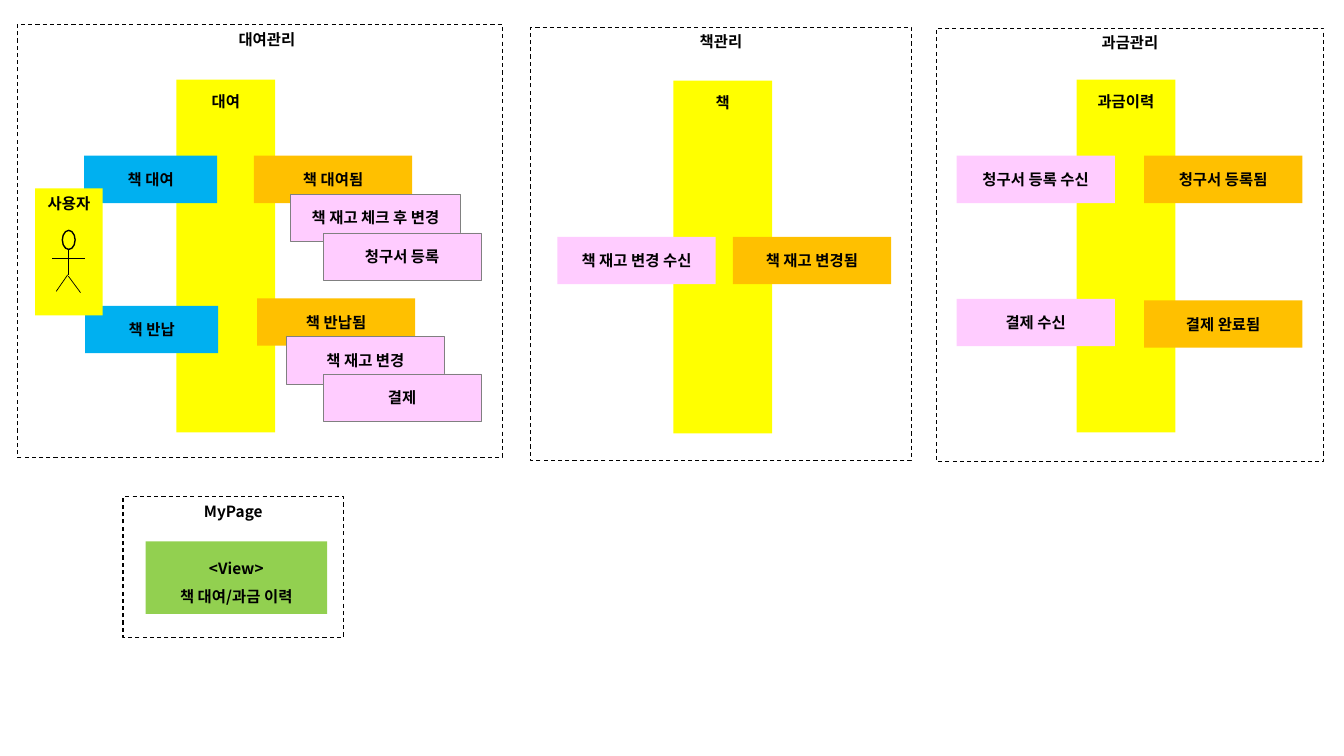
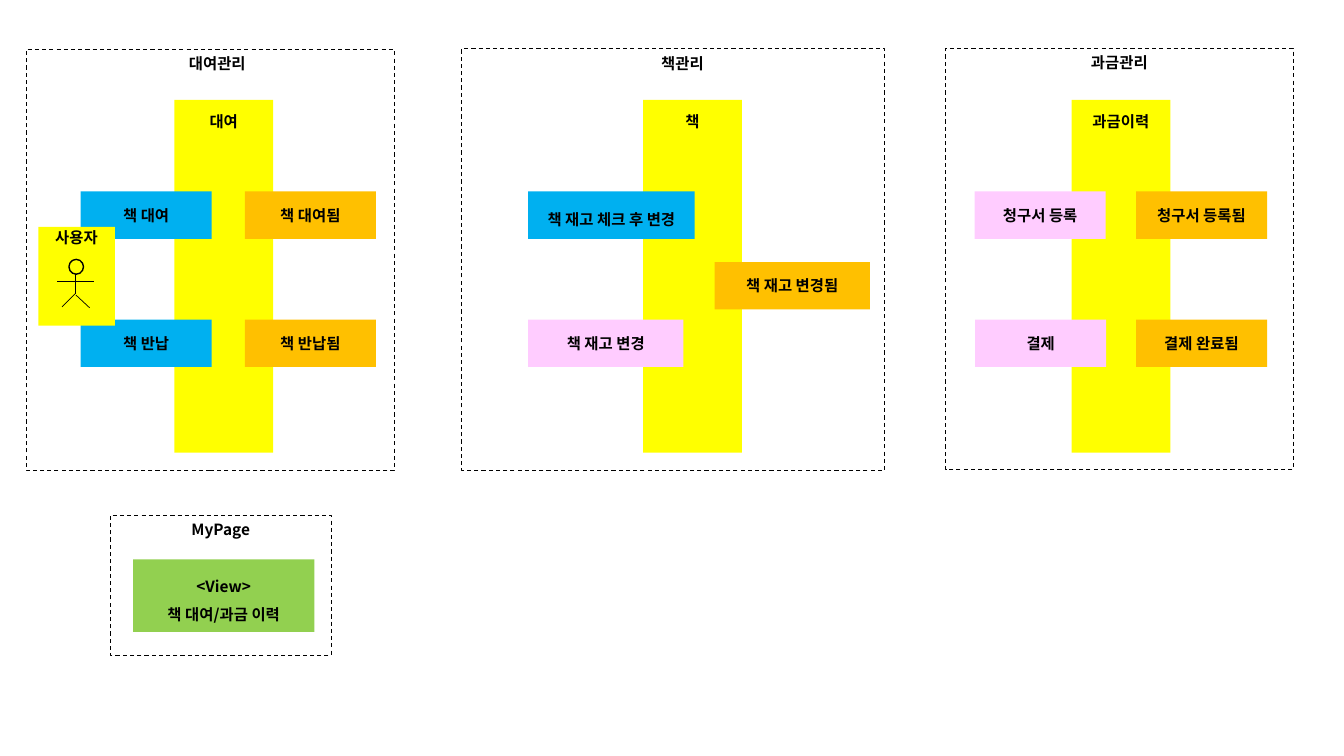
import lxml.etree
import pptx
import pptx.dml.color
import pptx.enum.dml
import pptx.enum.shapes
import pptx.enum.text
import pptx.oxml.ns
import pptx.util

RGB = pptx.dml.color.RGBColor
BLACK = RGB(0x00, 0x00, 0x00)
GRAY = RGB(0x80, 0x80, 0x80)
YELLOW = RGB(0xFF, 0xFF, 0x00)
BLUE = RGB(0x00, 0xB0, 0xF0)
AMBER = RGB(0xFF, 0xC0, 0x00)
PINK = RGB(0xFF, 0xCC, 0xFF)
GREEN = RGB(0x92, 0xD0, 0x50)

FONT = "Noto Sans CJK KR"
CELL = 0.1  # inches per grid column and row
SHAPE = pptx.enum.shapes.MSO_SHAPE
ANCHOR = pptx.enum.text.MSO_ANCHOR


def grid(num):
    """Turn grid columns or rows into a length."""
    return pptx.util.Inches(num * CELL)


class Board:
    """Style and current slide of an event storming board."""

    def __init__(self):
        """Open a deck of wide slides."""
        self.deck = pptx.Presentation()
        self.deck.slide_width = grid(133.33)
        self.deck.slide_height = grid(75)

    def start(self):
        """Add a blank slide and draw on it."""
        self.slide = self.deck.slides.add_slide(self.deck.slide_layouts[6])
        self.shapes = self.slide.shapes

    def shape(self, kind, box, fill=None, line=None, width=0.75):
        """Draw a preset shape at box (left, top, width, height)."""
        item = self.shapes.add_shape(kind, *map(grid, box))
        item.shadow.inherit = False
        if fill is None:
            item.fill.background()
        else:
            item.fill.solid()
            item.fill.fore_color.rgb = fill
        if line is None:
            item.line.fill.background()
        else:
            item.line.color.rgb = line
            item.line.width = pptx.util.Pt(width)
        return item

    def label(self, item, lines, top=None, left=1, space=None):
        """Set centred lines: in the middle, or from the inset top."""
        frame = item.text_frame
        frame.word_wrap = True
        frame.margin_left = grid(left)
        frame.margin_right = grid(1)
        frame.margin_bottom = grid(0.5)
        frame.margin_top = grid(0.5 if top is None else top)
        frame.vertical_anchor = ANCHOR.MIDDLE if top is None else ANCHOR.TOP
        for num, text in enumerate(lines):
            para = frame.add_paragraph() if num else frame.paragraphs[0]
            para.alignment = pptx.enum.text.PP_ALIGN.CENTER
            if space:
                para.line_spacing = space
            self.text(para, text)

    def text(self, para, words):
        """Add one bold black run."""
        run = para.add_run()
        run.text = words
        font = run.font
        font.size = pptx.util.Pt(11)
        font.bold = True
        font.color.rgb = BLACK
        font.name = FONT
        east = lxml.etree.SubElement(run._r.get_or_add_rPr(), pptx.oxml.ns.qn("a:ea"))
        east.set("typeface", FONT)

    def zone(self, box, text, left=1):
        """Draw a dashed context with its name on top."""
        item = self.shape(SHAPE.RECTANGLE, box, line=BLACK)
        item.line.dash_style = pptx.enum.dml.MSO_LINE.DASH
        self.label(item, [text], top=0.5, left=left)

    def lane(self, x, y, text):
        """Draw the tall bar of an aggregate."""
        item = self.shape(SHAPE.RECTANGLE, (x, y, 9.8, 35), YELLOW)
        self.label(item, [text], top=1.2)

    def note(self, fill, x, y, wide, text, line=None, space=None):
        """Draw a command, event or policy note."""
        box = (x, y, wide, 4.7)
        item = self.shape(SHAPE.RECTANGLE, box, fill, line, 0.25)
        self.label(item, [text], space=space)

    def view(self, x, y):
        """Draw the page context with its view."""
        self.zone((x, y, 21.9, 13.9), "MyPage")
        item = self.shape(SHAPE.RECTANGLE, (x + 2.25, y + 4.4, 18, 7.2), GREEN)
        self.label(item, ["<View>", "책 대여/과금 이력"], space=1.5)

    def line(self, x1, y1, x2, y2):
        """Draw a thin black line."""
        kind = pptx.enum.shapes.MSO_CONNECTOR.STRAIGHT
        item = self.shapes.add_connector(kind, *map(grid, (x1, y1, x2, y2)))
        item.line.color.rgb = BLACK
        item.line.width = pptx.util.Pt(0.5)
        prop = item._element.spPr
        lxml.etree.SubElement(prop, pptx.oxml.ns.qn("a:effectLst"))

    def user(self, x, y, wide, high, top):
        """Draw the user card; the figure is set in shares of the card."""
        self.shapes = self.slide.shapes.add_group_shape().shapes
        card = self.shape(SHAPE.RECTANGLE, (x, y, wide, high), YELLOW)
        self.label(card, ["사용자"], top=top)
        head = (x + 0.4 * wide, y + 0.33 * high, 0.19 * wide, 0.15 * high)
        self.shape(SHAPE.OVAL, head, YELLOW, BLACK, 1)
        arms = (0.25, 0.55, 0.73, 0.55)
        trunk = (0.49, 0.48, 0.49, 0.68)
        legs = (0.48, 0.68, 0.31, 0.81), (0.49, 0.69, 0.67, 0.82)
        for x1, y1, x2, y2 in (arms, trunk, *legs):
            self.line(x + x1 * wide, y + y1 * high, x + x2 * wide, y + y2 * high)
        self.shapes = self.slide.shapes


def first(board):
    """Draw the board with policies beside their events."""
    board.start()
    board.lane(17.5, 7.9, "대여")
    board.lane(66.8, 8, "책")
    board.lane(106.8, 7.9, "과금이력")
    board.zone((1.7, 2.45, 48.15, 42.9), "대여관리", left=2.4)
    board.zone((52.65, 2.7, 37.75, 43), "책관리")
    board.zone((92.9, 2.8, 38.4, 43), "과금관리")
    board.view(12.2, 49.3)
    wide = 15.7
    board.note(BLUE, 8.35, 15.45, 13.2, "책 대여")
    board.note(BLUE, 8.45, 30.35, 13.2, "책 반납")
    for fill, x, y, text in (
        (AMBER, 25.5, 29.6, "책 반납됨"),
        (AMBER, 25.2, 15.45, "책 대여됨"),
        (PINK, 94.9, 15.45, "청구서 등록 수신"),
        (AMBER, 113.5, 15.45, "청구서 등록됨"),
        (PINK, 94.9, 29.65, "결제 수신"),
        (PINK, 55.3, 23.5, "책 재고 변경 수신"),
        (AMBER, 72.7, 23.5, "책 재고 변경됨"),
        (AMBER, 113.5, 29.8, "결제 완료됨"),
    ):
        board.note(fill, x, y, wide, text)
    for x, y, span, text in (
        (28.4, 33.4, wide, "책 재고 변경"),
        (32.05, 37.1, wide, "결제"),
        (28.8, 19.25, 16.9, "책 재고 체크 후 변경"),
        (32.05, 23.1, wide, "청구서 등록"),
    ):
        board.note(PINK, x, y, span, text, GRAY)
    board.user(3.5, 18.7, 6.7, 12.6, 0.6)


def second(board):
    """Draw the board with policies moved to their contexts."""
    board.start()
    high, mid, low = 19, 26, 31.7
    for x, text in ((17.3, "대여"), (63.8, "책"), (106.3, "과금이력")):
        board.lane(x, 9.9, text)
    for fill, x, y, text in (
        (BLUE, 8, high, "책 대여"),
        (BLUE, 8, low, "책 반납"),
        (AMBER, 24.3, high, "책 대여됨"),
        (AMBER, 24.3, low, "책 반납됨"),
        (PINK, 96.7, high, "청구서 등록"),
        (PINK, 96.75, low, "결제"),
        (AMBER, 112.7, high, "청구서 등록됨"),
        (AMBER, 112.7, low, "결제 완료됨"),
    ):
        board.note(fill, x, y, 13, text)
    board.note(BLUE, 52.4, high, 16.5, "책 재고 체크 후 변경", space=1.5)
    board.note(PINK, 52.4, low, 15.4, "책 재고 변경")
    board.note(AMBER, 70.9, mid, 15.4, "책 재고 변경됨")
    board.user(3.8, 22.5, 7.6, 9.8, 0.1)
    board.zone((2.6, 4.9, 36.5, 41.8), "대여관리", left=2.4)
    board.zone((45.8, 4.85, 42, 41.8), "책관리", left=2.8)
    board.zone((93.8, 4.8, 34.5, 41.8), "과금관리")
    board.view(10.95, 51.1)


board = Board()
first(board)
second(board)
board.deck.save("out.pptx")
